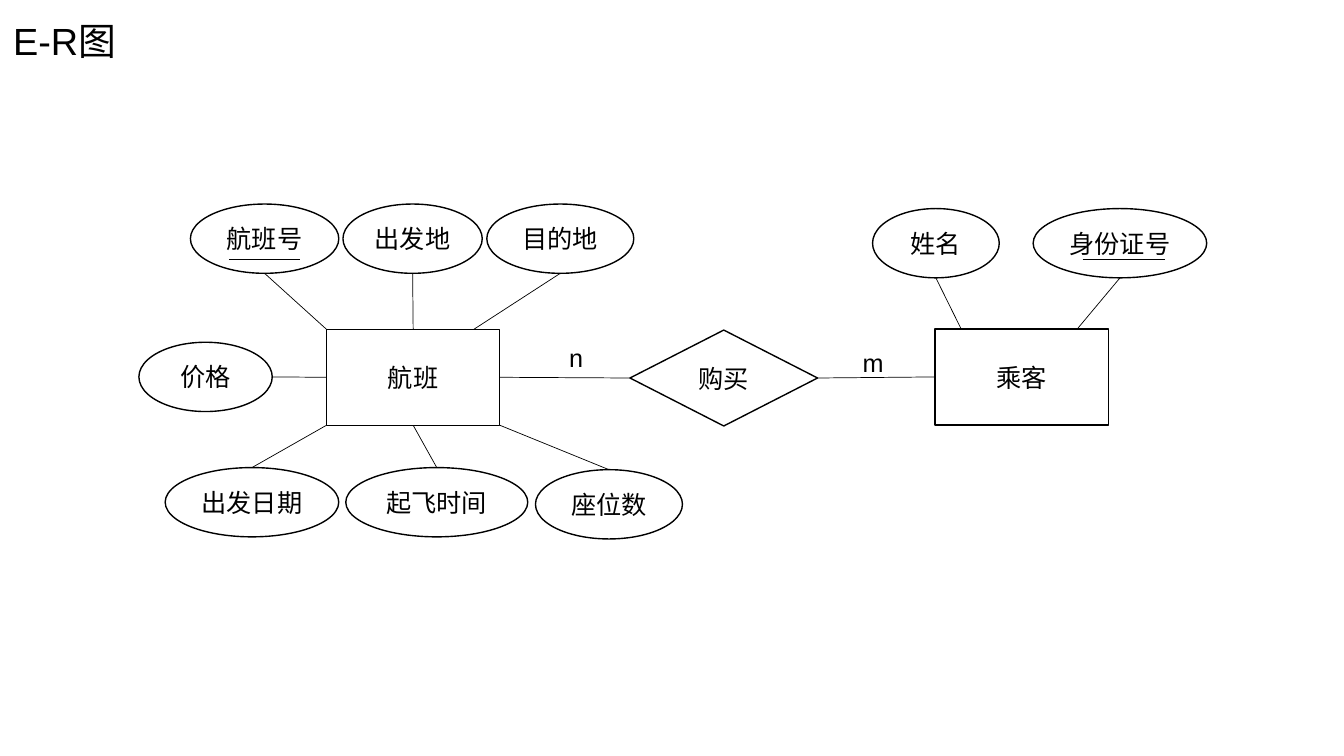
import pptx
import pptx.util
import pptx.dml.color
import pptx.enum.shapes
import pptx.enum.text
import pptx.oxml
import pptx.oxml.ns
from dataclasses import dataclass

Pt = pptx.util.Pt
SHAPE = pptx.enum.shapes.MSO_SHAPE
ALIGN = pptx.enum.text.PP_ALIGN
ANCHOR = pptx.enum.text.MSO_ANCHOR


@dataclass(frozen=True)
class Theme:
    ink: str = "000000"
    paper: str = "FFFFFF"
    latin: str = "Arial"
    chinese: str = "Noto Sans CJK SC"
    title_size: float = 27
    text_size: float = 18
    outline: float = 1
    link: float = 0.5


THEME = Theme()

# Content: all lengths in points
TITLE = "E-R图"
NODES = {  # name: (shape, left, top, width, height)
    "航班": (SHAPE.RECTANGLE, 233.25, 235.25, 123.75, 68.5),
    "乘客": (SHAPE.RECTANGLE, 668, 235, 123.75, 68.5),
    "购买": (SHAPE.FLOWCHART_DECISION, 450, 235.75, 134, 68.5),
}
OVAL_HEIGHT = 49.5
ATTRIBUTES = [  # name, left, top, width, oval side, entity, point on entity as fractions
    ("航班号", 136, 145.75, 106, "bottom", "航班", (0, 0)),
    ("出发地", 245, 145.75, 99.5, "bottom", "航班", (0.5, 0)),
    ("目的地", 347.75, 145.75, 105, "bottom", "航班", (0.85, 0)),
    ("价格", 99.25, 244.5, 95.25, "right", "航班", (0, 0.5)),
    ("出发日期", 118, 334, 124, "top", "航班", (0, 1)),
    ("起飞时间", 247, 334, 130, "top", "航班", (0.5, 1)),
    ("座位数", 382.5, 335.5, 105, "top", "航班", (1, 1)),
    ("姓名", 623.25, 149, 90.5, "bottom", "乘客", (0.15, 0)),
    ("身份证号", 738, 149, 124, "bottom", "乘客", (0.82, 0)),
]
RELATIONS = [("航班", "购买"), ("购买", "乘客")]
CARDINALITIES = [("n", 399.5, 241.25, 26), ("m", 609, 244.75, 32)]
KEY_RULES = [(163.5, 214), (773.25, 832.25)]  # underline left and right
KEY_RULE_TOP = 185.25

SIDES = {"top": (0.5, 0), "bottom": (0.5, 1), "right": (1, 0.5)}
SITES = {(0.5, 0): 0, (0, 0.5): 1, (0.5, 1): 2, (1, 0.5): 3}


def color(value):
    return pptx.dml.color.RGBColor.from_string(value)


def write(shape, text, size=THEME.text_size, font=THEME.chinese, align=ALIGN.CENTER,
          anchor=ANCHOR.MIDDLE, wrap=False, spacing=None):
    frame = shape.text_frame
    frame.word_wrap = wrap
    frame.vertical_anchor = anchor
    para = frame.paragraphs[0]
    para.alignment = align
    para.line_spacing = spacing
    span = para.add_run()
    span.text = text
    span.font.size = Pt(size)
    span.font.name = font
    span.font.color.rgb = color(THEME.ink)
    east_asian = pptx.oxml.parse_xml(
        f'<a:ea {pptx.oxml.ns.nsdecls("a")} typeface="{THEME.chinese}"/>')
    span.font._element.find(pptx.oxml.ns.qn("a:latin")).addnext(east_asian)
    return frame


def add_node(slide, text, kind, left, top, width, height):
    node = slide.shapes.add_shape(kind, Pt(left), Pt(top), Pt(width), Pt(height))
    node.shadow.inherit = False
    node.fill.solid()
    node.fill.fore_color.rgb = color(THEME.paper)
    node.line.color.rgb = color(THEME.ink)
    node.line.width = Pt(THEME.outline)
    write(node, text)
    return node


def point_on(node, fractions):
    across, down = fractions
    return int(node.left + node.width * across), int(node.top + node.height * down)


def add_line(slide, start, end):
    line = slide.shapes.add_connector(
        pptx.enum.shapes.MSO_CONNECTOR.STRAIGHT, *start, *end)
    line.line.color.rgb = color(THEME.ink)
    line.line.width = Pt(THEME.link)
    line._element.spPr.append(
        pptx.oxml.parse_xml(f'<a:effectLst {pptx.oxml.ns.nsdecls("a")}/>'))
    return line


def main():
    deck = pptx.Presentation()
    deck.slide_width, deck.slide_height = Pt(960), Pt(540)
    page = deck.slides.add_slide(deck.slide_layouts[5])

    # Title
    title = page.shapes.title
    title.left, title.top, title.width, title.height = Pt(0), Pt(1.5), Pt(319), Pt(59)
    frame = write(title, TITLE, size=THEME.title_size, font=THEME.latin,
                  align=ALIGN.LEFT, wrap=True, spacing=0.9)
    frame.margin_left = frame.margin_right = Pt(9.4)
    frame.margin_top = frame.margin_bottom = Pt(5)

    # Entities and relationship
    nodes = {name: add_node(page, name, *place) for name, place in NODES.items()}

    # Attributes, each joined to its entity
    for name, left, top, width, side, entity, target in ATTRIBUTES:
        oval = add_node(page, name, SHAPE.OVAL, left, top, width, OVAL_HEIGHT)
        line = add_line(page, point_on(oval, SIDES[side]), point_on(nodes[entity], target))
        if target in SITES:
            line.end_connect(nodes[entity], SITES[target])

    # Relationship lines
    for first, second in RELATIONS:
        start, end = nodes[first], nodes[second]
        line = add_line(page, point_on(start, (1, 0.5)), point_on(end, (0, 0.5)))
        line.begin_connect(start, SITES[1, 0.5])
        line.end_connect(end, SITES[0, 0.5])

    # Cardinalities
    for text, left, top, width in CARDINALITIES:
        box = page.shapes.add_textbox(Pt(left), Pt(top), Pt(width), Pt(29))
        write(box, text, font=THEME.latin, align=ALIGN.LEFT, anchor=ANCHOR.TOP)

    # Key underlines
    for left, right in KEY_RULES:
        add_line(page, (Pt(left), Pt(KEY_RULE_TOP)), (Pt(right), Pt(KEY_RULE_TOP)))

    deck.save("out.pptx")


if __name__ == "__main__":
    main()
